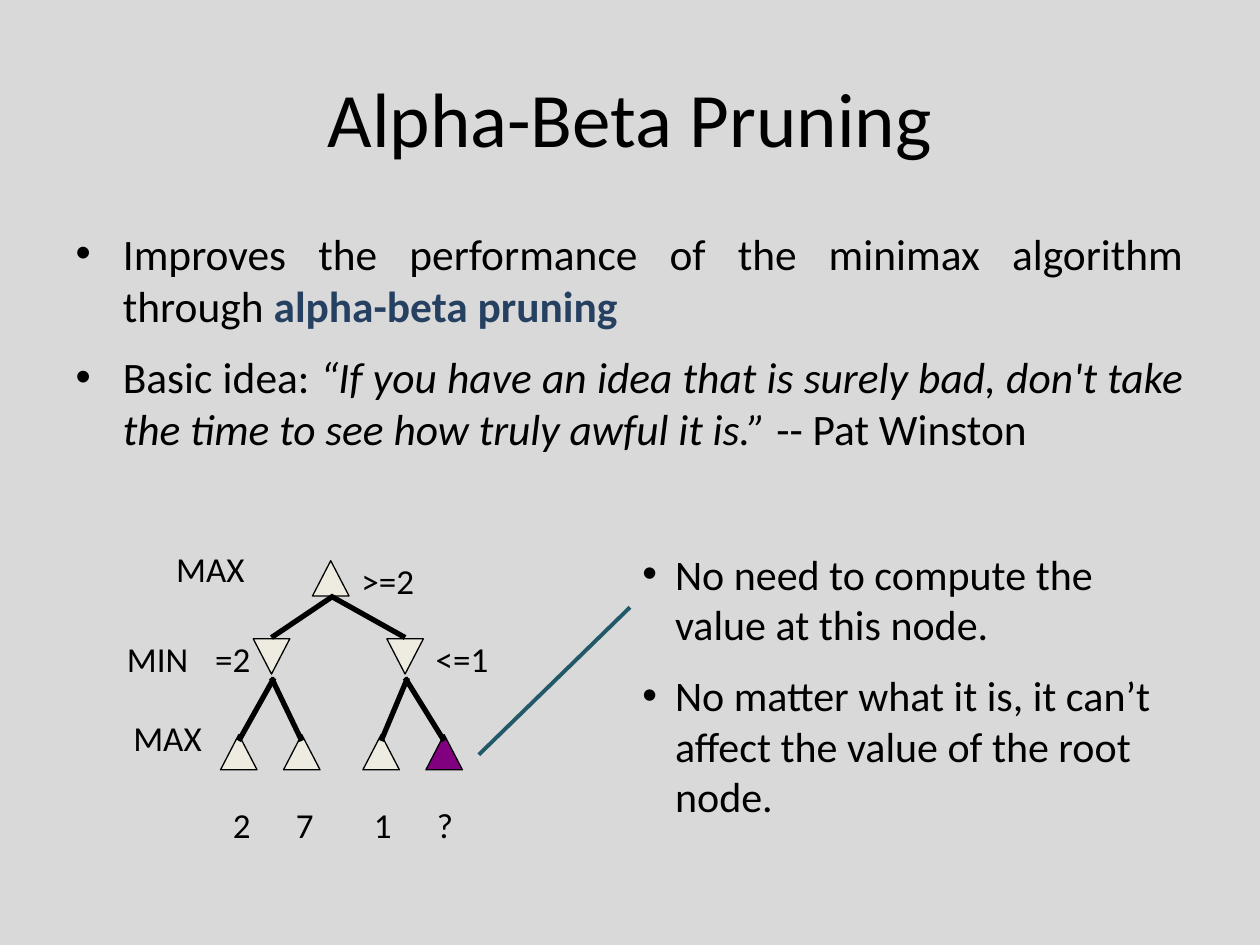
import pptx
import pptx.util
import pptx.dml.color
import pptx.enum.shapes
import pptx.enum.text
import pptx.oxml
import pptx.oxml.ns

Inches, Pt = pptx.util.Inches, pptx.util.Pt
SHAPE = pptx.enum.shapes.MSO_SHAPE
ALIGN = pptx.enum.text.PP_ALIGN
qn = pptx.oxml.ns.qn

COLORS = {"background": "D9D9D9", "text": "000000", "emphasis": "254061",
          "node": "EEECE1", "pruned": "800080", "pointer": "215968"}
NODE_W, NODE_H = 0.29, 0.28
LABEL_H = 0.44

# Each level: top of its triangles, where edges arrive and where they leave.
LEVELS = {"root": (4.45, None, 4.73), "min": (5.07, 5.06, 5.38),
          "leaf": (5.83, 5.88, None)}
# Each node: level, left edge, parent.
NODES = {"root": ("root", 2.48, None),
         "right": ("min", 3.07, "root"), "left": ("min", 2.01, "root"),
         "seven": ("leaf", 2.25, "left"), "two": ("leaf", 1.75, "left"),
         "unknown": ("leaf", 3.38, "right"), "one": ("leaf", 2.88, "right")}
# Each label: text, left, top, width.
LABELS = [("2", 1.75, 6.33, 0.37), ("7", 2.25, 6.33, 0.37),
          ("1", 2.87, 6.33, 0.37), ("?", 3.37, 6.33, 0.36),
          ("=2", 1.61, 5.01, 0.54), (">=2", 2.77, 4.39, 0.67),
          ("<=1", 3.36, 5.01, 0.67), ("MAX", 1.3, 4.3, 0.8),
          ("MAX", 0.96, 5.64, 0.8), ("MIN", 0.91, 5.01, 0.74)]


def rgb(name):
    return pptx.dml.color.RGBColor.from_string(COLORS[name])


class SlideBuilder:
    """Holds the text style and the slide being filled."""

    font = "Calibri"

    def __init__(self, prs):
        self.s = prs.slides.add_slide(prs.slide_layouts[1])
        fill = self.s.background.fill
        fill.solid()
        fill.fore_color.rgb = rgb("background")

    def style(self, r, size, color="text", bold=False, italic=False):
        r.font.name, r.font.size = self.font, Pt(size)
        r.font.bold, r.font.italic = bold, italic
        r.font.color.rgb = rgb(color)

    def place(self, sp, left, top, width, height):
        sp.left, sp.top = Inches(left), Inches(top)
        sp.width, sp.height = Inches(width), Inches(height)

    def title(self, text, *box):
        sp = self.s.shapes.title
        self.place(sp, *box)
        sp.text_frame.text = text
        p = sp.text_frame.paragraphs[0]
        p.alignment = ALIGN.CENTER
        self.style(p.runs[0], 44)

    def body(self, items, size, *box):
        """Fill the body placeholder; an item is a list of (text, format) runs."""
        sp = self.s.placeholders[1]
        self.place(sp, *box)
        tf = sp.text_frame
        tf.auto_size = pptx.enum.text.MSO_AUTO_SIZE.NONE
        for i, runs in enumerate(items):
            p = tf.add_paragraph() if i else tf.paragraphs[0]
            p.alignment = ALIGN.JUSTIFY
            p.space_before, p.space_after = Pt(0.2 * size), Pt(6)
            for text, look in runs:
                r = p.add_run()
                r.text = text
                self.style(r, size, **look)

    def text(self, text, size, *box):
        sp = self.s.shapes.add_textbox(*map(Inches, box))
        tf = sp.text_frame
        tf.word_wrap = True
        tf.text = text
        for p in tf.paragraphs:
            self.style(p.runs[0], size)
        return tf

    def bullets(self, items, size, *box):
        for p in self.text("\n".join(items), size, *box).paragraphs:
            p.space_before = Pt(0.5 * size)
            ppr = p._p.get_or_add_pPr()
            ppr.set("marL", str(Inches(0.26)))
            ppr.set("indent", str(Inches(-0.26)))
            font = pptx.oxml.parse_xml(
                f'<a:buFont {pptx.oxml.ns.nsdecls("a")} typeface="Arial"/>')
            char = pptx.oxml.parse_xml(
                f'<a:buChar {pptx.oxml.ns.nsdecls("a")} char="•"/>')
            ppr.extend([font, char])

    def node(self, left, top, color, flipped):
        sp = self.s.shapes.add_shape(SHAPE.ISOSCELES_TRIANGLE, Inches(left),
                                     Inches(top), Inches(NODE_W), Inches(NODE_H))
        sp.shadow.inherit = False
        sp.fill.solid()
        sp.fill.fore_color.rgb = rgb(color)
        sp.line.color.rgb = rgb("text")
        sp.line.width = Pt(0.75)
        if flipped:
            sp._element.spPr.find(qn("a:xfrm")).set("flipV", "1")

    def line(self, start, end, color, width):
        c = self.s.shapes.add_connector(pptx.enum.shapes.MSO_CONNECTOR.STRAIGHT,
                                        *map(Inches, (*start, *end)))
        c.line.color.rgb = rgb(color)
        c.line.width = Pt(width)
        c._element.spPr.append(pptx.oxml.parse_xml(
            f'<a:effectLst {pptx.oxml.ns.nsdecls("a")}/>'))

    def tree(self):
        for name, (level, left, _) in NODES.items():
            color = "pruned" if name == "unknown" else "node"
            self.node(left, LEVELS[level][0], color, level == "min")
        for level, left, parent in NODES.values():
            if parent:
                parent_level, parent_left, _ = NODES[parent]
                # Left edges run slightly past the centre so the joint closes.
                overlap = 0.02 if left < parent_left else 0
                self.line((left + NODE_W / 2, LEVELS[level][1]),
                          (parent_left + NODE_W / 2 + overlap,
                           LEVELS[parent_level][2]), "text", 3)


def main():
    prs = pptx.Presentation()
    prs.slide_width, prs.slide_height = Inches(10), Inches(7.5)
    b = SlideBuilder(prs)
    b.title("Alpha-Beta Pruning", 0.5, 0.3, 9, 1.25)
    b.body([
        [("Improves the performance of the minimax algorithm through ", {}),
         ("alpha-beta pruning", {"color": "emphasis", "bold": True})],
        [("Basic idea: ", {}),
         ("“If you have an idea that is surely bad, don't take the time "
          "to see how truly awful it is.”", {"italic": True}),
         (" -- Pat Winston ", {})],
    ], 24.8, 0.5, 1.75, 9, 2.24)
    b.tree()
    for text, left, top, width in LABELS:
        b.text(text, 20, left, top, width, LABEL_H)
    b.bullets(["No need to compute the value at this node.",
               "No matter what it is, it can’t affect the value of the root node."],
              24, 5, 4.3, 4.33, 2.32)
    b.line((5, 4.82), (3.8, 5.99), "pointer", 2.25)
    prs.save("out.pptx")


if __name__ == "__main__":
    main()
